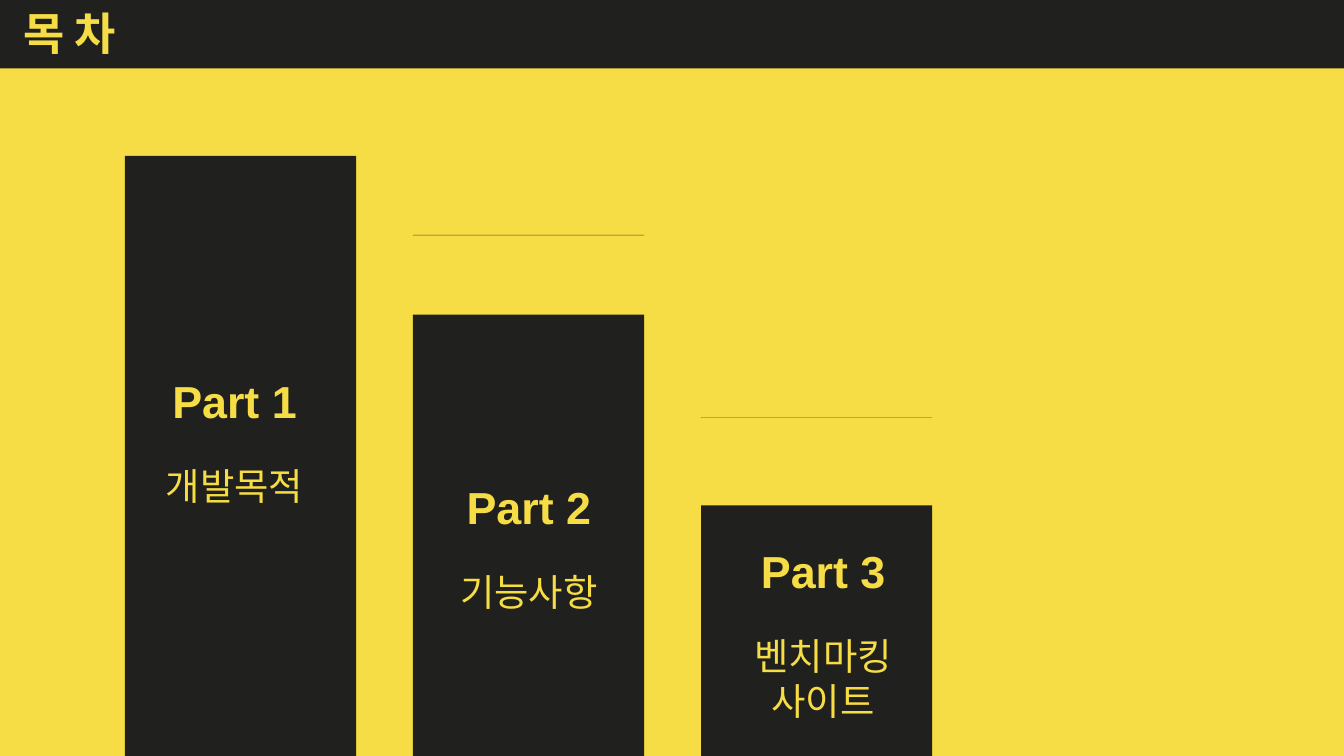
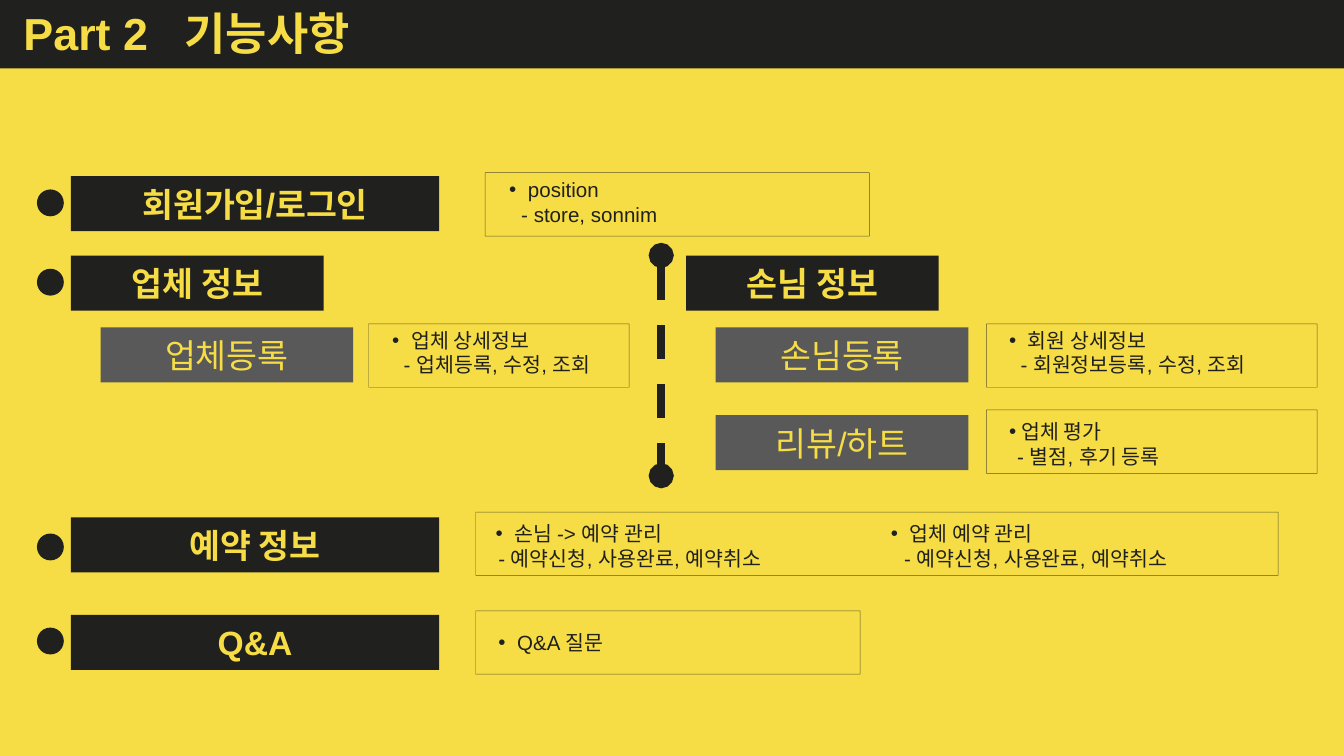
"""Build the contents slide and the Part 2 feature slide."""
from dataclasses import dataclass, field

from lxml.etree import SubElement
from pptx import Presentation
from pptx.dml.color import RGBColor
from pptx.enum.dml import MSO_LINE
from pptx.enum.shapes import MSO_CONNECTOR, MSO_SHAPE
from pptx.enum.text import MSO_ANCHOR, PP_ALIGN
from pptx.oxml.ns import qn
from pptx.util import Inches, Pt


@dataclass(frozen=True)
class Theme:
    yellow: RGBColor = RGBColor(0xF6, 0xDD, 0x46)
    dark: RGBColor = RGBColor(0x20, 0x20, 0x1E)
    gray: RGBColor = RGBColor(0x59, 0x59, 0x59)
    hairline: Pt = Pt(0.25)
    heading: dict = field(default_factory=lambda: dict(size=Pt(24), bold=True))
    topic: dict = field(default_factory=lambda: dict(size=Pt(20), bold=False))
    feature: dict = field(default_factory=lambda: dict(size=Pt(18), bold=True))
    detail: dict = field(default_factory=lambda: dict(size=Pt(18), bold=False))
    note: dict = field(default_factory=lambda: dict(size=Pt(11), bold=False))


theme = Theme()
deck = Presentation()
deck.slide_width = Inches(10)
deck.slide_height = deck.slide_width * 9 // 16
CELL = deck.slide_width // 100


def place(slide, kind, cells, fill=None, outline_alpha=None):
    """Add a preset shape at (column, row, columns, rows)."""
    shape = slide.shapes.add_shape(kind, *[int(n * CELL) for n in cells])
    shape.shadow.inherit = False
    if fill is None:
        shape.fill.background()
    else:
        shape.fill.solid()
        shape.fill.fore_color.rgb = fill
    if outline_alpha is None:
        shape.line.fill.background()
    else:
        shape.line.width = theme.hairline
        shape.line.color.rgb = theme.dark
        ink = shape._element.xpath(".//a:ln//a:srgbClr")[0]
        SubElement(ink, qn("a:alpha"), val=str(outline_alpha * 1000))
    return shape


def write(shape, pieces, style, color=theme.yellow, align=PP_ALIGN.CENTER,
          start=0, hang=0, before=0):
    """Append one paragraph; a hanging indent brings a bullet."""
    frame = shape.text_frame
    frame.word_wrap = True
    paragraph = frame.add_paragraph() if frame.text else frame.paragraphs[0]
    paragraph.alignment = align
    paragraph.space_before = Pt(before)
    layout = paragraph._p.get_or_add_pPr()
    layout.set("marL", str(int((start + hang) * CELL)))
    layout.set("indent", str(int(-hang * CELL)))
    if hang:
        SubElement(layout, qn("a:buFont"), typeface="Arial")
        SubElement(layout, qn("a:buChar"), char="•")
    for piece in pieces:
        run = paragraph.add_run()
        run.text = piece
        for name, value in dict(style, name="Arial").items():
            setattr(run.font, name, value)
        run.font.color.rgb = color
        if piece == " ":
            run.font._element.set("spc", "1300")


contents, features = [deck.slides.add_slide(deck.slide_layouts[6]) for _ in range(2)]
for slide, title in ((contents, ["목 차"]), (features, ["Part 2", " ", "기능사항"])):
    slide.background.fill.solid()
    slide.background.fill.fore_color.rgb = theme.yellow
    band = place(slide, MSO_SHAPE.RECTANGLE, (0, 0, 100, 5.1), theme.dark)
    band.text_frame.margin_left = int(1.75 * CELL)
    band.text_frame.margin_bottom = int(0.8 * CELL)
    band.text_frame.vertical_anchor = MSO_ANCHOR.MIDDLE
    write(band, title, theme.heading, align=PP_ALIGN.LEFT)

FLOOR = 56.3
parts = (
    (11.6, 27.3, ("개발목적",)),
    (23.4, 35.2, ("기능사항",)),
    (37.6, 39.95, ("벤치마킹", "사이트")),
)
for index, (top, text_top, topics) in enumerate(parts):
    place(contents, MSO_SHAPE.RECTANGLE,
          (9.3 + 21.43 * index, top, 17.2, FLOOR - top), theme.dark)
    caption = contents.shapes.add_textbox(
        *[int(n * CELL) for n in (7.4 + 21.9 * index, text_top, 20.1, 11.1)])
    write(caption, [f"Part {index + 1}"], theme.heading)
    for line, topic in enumerate(topics):
        write(caption, [topic], theme.topic, before=0 if line else 19.3)

LEFT, RIGHT, INDENT = 5.28, 51.05, 2.2
WIDE, NARROW = 27.4, 18.8
labels = (
    ("회원가입/로그인", LEFT, 13.1, WIDE, True),
    ("업체 정보", LEFT, 19.02, NARROW, True),
    ("손님 정보", RIGHT, 19.02, NARROW, True),
    ("업체등록", LEFT + INDENT, 24.35, NARROW, False),
    ("손님등록", RIGHT + INDENT, 24.35, NARROW, False),
    ("리뷰/하트", RIGHT + INDENT, 30.88, NARROW, False),
    ("예약 정보", LEFT, 38.5, WIDE, True),
    ("Q&A", LEFT, 45.75, WIDE, True),
)
for text, column, row, columns, is_main in labels:
    label = place(features, MSO_SHAPE.RECTANGLE, (column, row, columns, 4.1),
                  theme.dark if is_main else theme.gray)
    label.text_frame.vertical_anchor = MSO_ANCHOR.MIDDLE
    write(label, [text], theme.feature if is_main else theme.detail)

for row in (14.1, 20, 39.7, 46.7):
    place(features, MSO_SHAPE.OVAL, (2.75, row, 2, 2), theme.dark)

for column, row, columns in ((36.1, 12.85, 28.6), (27.42, 24.1, 19.4), (73.4, 24.1, 24.6),
                             (73.4, 30.5, 24.6), (35.4, 38.1, 59.7), (35.4, 45.45, 28.6)):
    place(features, MSO_SHAPE.RECTANGLE, (column, row, columns, 4.72), outline_alpha=70)

notes = (
    (36.9, 12.7, 27.6, 1.4, "position", 0.9, "- store, sonnim"),
    (28.2, 23.9, 17.9, 1.4, "업체 상세정보", 0.85, "- 업체등록, 수정, 조회"),
    (74.1, 23.9, 23.8, 1.4, "회원 상세정보", 0.85, "- 회원정보등록, 수정, 조회"),
    (74.1, 30.7, 23.8, 0.9, "업체 평가", 0.6, "- 별점, 후기 등록"),
    (35.9, 38.3, 27.6, 1.4, "손님 -> 예약 관리", 0.2, "- 예약신청, 사용완료, 예약취소"),
    (65.3, 38.3, 27.6, 1.4, "업체 예약 관리", 1, "- 예약신청, 사용완료, 예약취소"),
    (36.1, 46.4, 27.6, 1.4, "Q&A 질문", 0, ""),
)
for column, row, columns, hang, subject, start, items in notes:
    note = features.shapes.add_textbox(
        *[int(n * CELL) for n in (column, row, columns, 4.7 if items else 2.9)])
    note.text_frame.margin_right = 0
    write(note, [subject], theme.note, theme.dark, PP_ALIGN.LEFT, hang=hang)
    if items:
        write(note, [items], theme.note, theme.dark, PP_ALIGN.LEFT, start=start)

rules = (
    (contents, (30.73, 17.5, 47.93, 17.5), theme.hairline, False),
    (contents, (52.16, 31.05, 69.36, 31.05), theme.hairline, False),
    (features, (49.2, 19, 49.2, 35.4), Pt(4.5), True),
)
for slide, ends, width, is_divider in rules:
    rule = slide.shapes.add_connector(MSO_CONNECTOR.STRAIGHT, *[int(n * CELL) for n in ends])
    rule.line.width = width
    rule.line.color.rgb = theme.dark
    stroke = rule._element.spPr.find(qn("a:ln"))
    if is_divider:
        rule.line.dash_style = MSO_LINE.DASH
        for end in ("a:headEnd", "a:tailEnd"):
            SubElement(stroke, qn(end), type="oval")
    else:
        SubElement(stroke.find(".//" + qn("a:srgbClr")), qn("a:alpha"), val="80000")
    SubElement(rule._element.spPr, qn("a:effectLst"))

deck.save("out.pptx")
